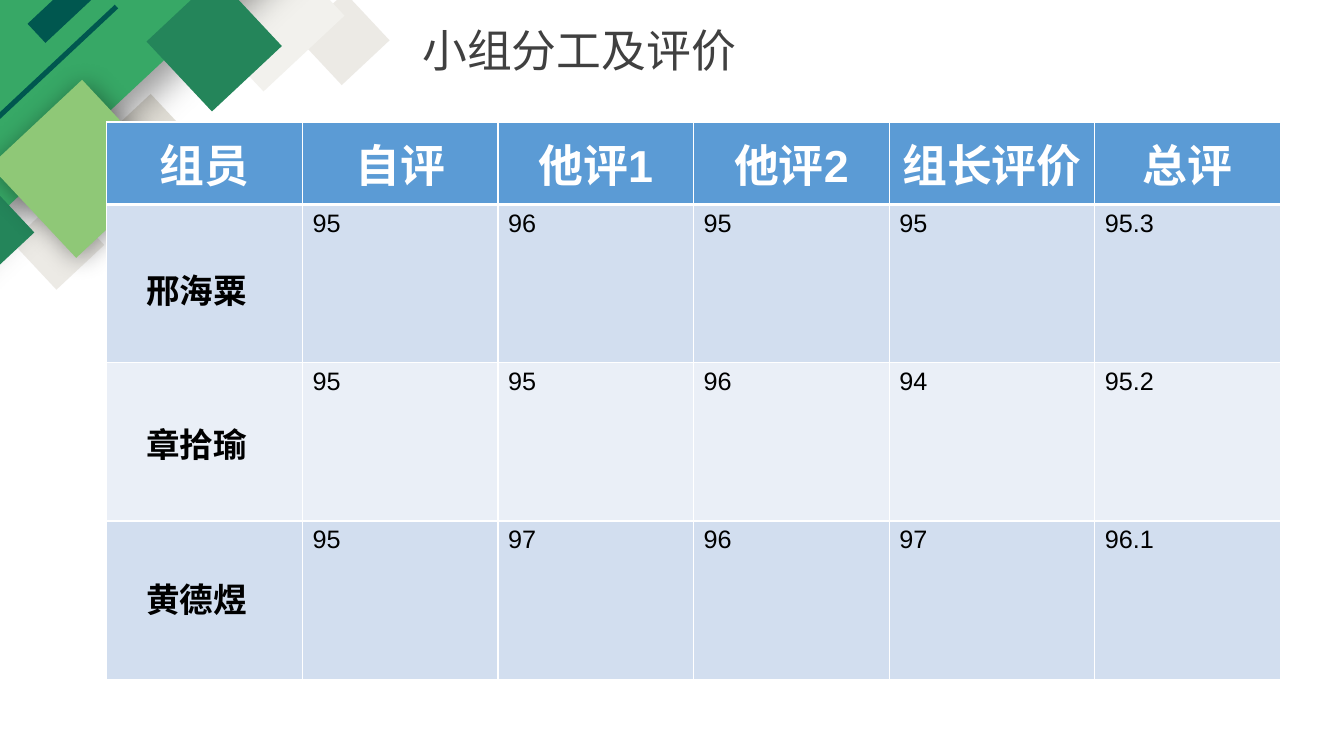
from lxml.etree import SubElement
from pptx import Presentation
from pptx.dml.color import RGBColor
from pptx.enum.shapes import MSO_SHAPE as Shape
from pptx.enum.text import MSO_ANCHOR as Anchor, PP_ALIGN as Align
from pptx.oxml.ns import qn
from pptx.util import Inches, Pt

WHITE = RGBColor(0xFF, 0xFF, 0xFF)
BLACK = RGBColor(0x00, 0x00, 0x00)
TITLE_GRAY = RGBColor(0x40, 0x40, 0x40)
SAND = RGBColor(0xE7, 0xE4, 0xDD)
PALE_SAND = RGBColor(0xF2, 0xF1, 0xED)
DARK_SAND = RGBColor(0xD8, 0xD4, 0xC9)
GREEN = RGBColor(0x37, 0xA8, 0x66)
LIGHT_GREEN = RGBColor(0x8F, 0xC8, 0x77)
DEEP_GREEN = RGBColor(0x24, 0x85, 0x5A)
TEAL = RGBColor(0x00, 0x57, 0x4F)
HEADER_BLUE = RGBColor(0x5B, 0x9B, 0xD5)
BAND_BLUE = RGBColor(0xD2, 0xDE, 0xEF)
BAND_PALE = RGBColor(0xEA, 0xEF, 0xF7)

FONT = "Arial"
TILT = 316.9
TILES = [
    (3.08, 0.06, 0.65, 0.65, SAND, 76, None),
    (2.09, -0.42, 1.1, 1.1, PALE_SAND, 100, None),
    (0.25, 2.09, 0.65, 0.65, SAND, 76, None),
    (1.05, 1.48, 0.87, 0.87, PALE_SAND, 67, None),
    (1.27, 1.02, 0.43, 0.43, DARK_SAND, 73, None),
    (-2.03, -1.36, 5.27, 2.46, GREEN, 100, (27, 16, 90)),
    (-1.63, 1.14, 3.22, 0.05, TEAL, 100, None),
    (1.65, -0.04, 0.95, 0.95, DEEP_GREEN, 100, None),
    (-0.48, 1.95, 0.68, 0.68, DEEP_GREEN, 100, None),
    (0.16, 1.05, 1.25, 1.25, LIGHT_GREEN, 100, (18, 3, 45)),
    (-0.08, -0.92, 3.28, 0.26, TEAL, 100, None),
]
HEADINGS = ["组员", "自评", "他评1", "他评2", "组长评价", "总评"]
SCORES = [
    ["95", "96", "95", "95", "95.3"],
    ["95", "95", "96", "94", "95.2"],
    ["95", "97", "96", "97", "96.1"],
]
MEMBERS = ["邢海粟", "章拾瑜", "黄德煜"]
COLUMN_WIDTHS = [1.94, 1.94, 1.94, 1.94, 2.04, 1.84]
HEADER_HEIGHT, ROW_HEIGHT = 0.82, 1.57
NAME_STEP = 1.53


def style_runs(para, size, color, bold=False):
    """Apply the slide font to every run of a paragraph."""
    for span in para.runs:
        span.font.name = FONT
        span.font.size = Pt(size)
        span.font.bold = bold
        span.font.color.rgb = color


def add_shadow(shape, blur, distance, angle):
    """Give a shape a soft black shadow at 40 percent opacity."""
    effects = shape._element.spPr.find(qn("a:effectLst"))
    shadow = SubElement(effects, qn("a:outerShdw"), blurRad=str(Pt(blur)),
                        dist=str(Pt(distance)), dir=str(angle * 60000),
                        algn="ctr", rotWithShape="0")
    color = SubElement(shadow, qn("a:srgbClr"), val=str(BLACK))
    SubElement(color, qn("a:alpha"), val="40000")


def add_corner_tiles(page, left, top):
    """Place the tilted tiles relative to the given corner."""
    for x, y, width, height, color, opacity, shadow in TILES:
        tile = page.shapes.add_shape(Shape.RECTANGLE, Inches(left + x), Inches(top + y),
                                     Inches(width), Inches(height))
        tile.rotation = TILT
        tile.shadow.inherit = False
        tile.line.fill.background()
        tile.fill.solid()
        tile.fill.fore_color.rgb = color
        if opacity < 100:
            fill_color = tile._element.spPr.find(qn("a:solidFill"))[0]
            SubElement(fill_color, qn("a:alpha"), val=str(opacity * 1000))
        if shadow:
            add_shadow(tile, *shadow)


def add_label(page, text, left, top, width, height, size, color, bold=False):
    """Place one line of text in the given box."""
    box = page.shapes.add_textbox(Inches(left), Inches(top), Inches(width), Inches(height))
    box.text_frame.word_wrap = True
    box.text_frame.text = text
    style_runs(box.text_frame.paragraphs[0], size, color, bold)


def style_cell(cell, color, bottom_width):
    """Fill a cell and draw its white borders."""
    properties = cell._tc.get_or_add_tcPr()
    for side, width in (("L", 1), ("R", 1), ("T", 1), ("B", bottom_width)):
        line = SubElement(properties, qn(f"a:ln{side}"), w=str(Pt(width)))
        fill = SubElement(line, qn("a:solidFill"))
        SubElement(fill, qn("a:srgbClr"), val=str(WHITE))
    cell.fill.solid()
    cell.fill.fore_color.rgb = color


def add_score_table(page, left, top):
    """Place the score table and the member names over its first column."""
    rows = [HEADINGS] + [[""] + scores for scores in SCORES]
    heights = [HEADER_HEIGHT] + [ROW_HEIGHT] * len(SCORES)
    table = page.shapes.add_table(len(rows), len(HEADINGS), Inches(left), Inches(top),
                                  Inches(sum(COLUMN_WIDTHS)), Inches(sum(heights))).table
    for column, width in zip(table.columns, COLUMN_WIDTHS):
        column.width = Inches(width)
    for r, (texts, height) in enumerate(zip(rows, heights)):
        table.rows[r].height = Inches(height)
        is_header = r == 0
        band = HEADER_BLUE if is_header else (BAND_PALE, BAND_BLUE)[r % 2]
        for c, text in enumerate(texts):
            cell = table.cell(r, c)
            style_cell(cell, band, 3 if is_header else 1)
            cell.text_frame.text = text
            para = cell.text_frame.paragraphs[0]
            if is_header:
                cell.vertical_anchor = Anchor.MIDDLE
                para.alignment = Align.CENTER
                style_runs(para, 32, WHITE, True)
            else:
                style_runs(para, 18, BLACK)
    for i, member in enumerate(MEMBERS):
        add_label(page, member, left + 0.29, top + 1.42 + i * NAME_STEP,
                  1.32, 0.5, 24, BLACK, True)


def main():
    """Build the group evaluation slide."""
    deck = Presentation()
    deck.slide_width, deck.slide_height = Inches(13.33), Inches(7.5)
    page = deck.slides.add_slide(deck.slide_layouts[6])
    add_corner_tiles(page, 0, 0)
    add_score_table(page, 1.06, 1.21)
    add_label(page, "小组分工及评价", 4.09, 0.18, 4.07, 0.64, 32, TITLE_GRAY)
    deck.save("out.pptx")


if __name__ == "__main__":
    main()
